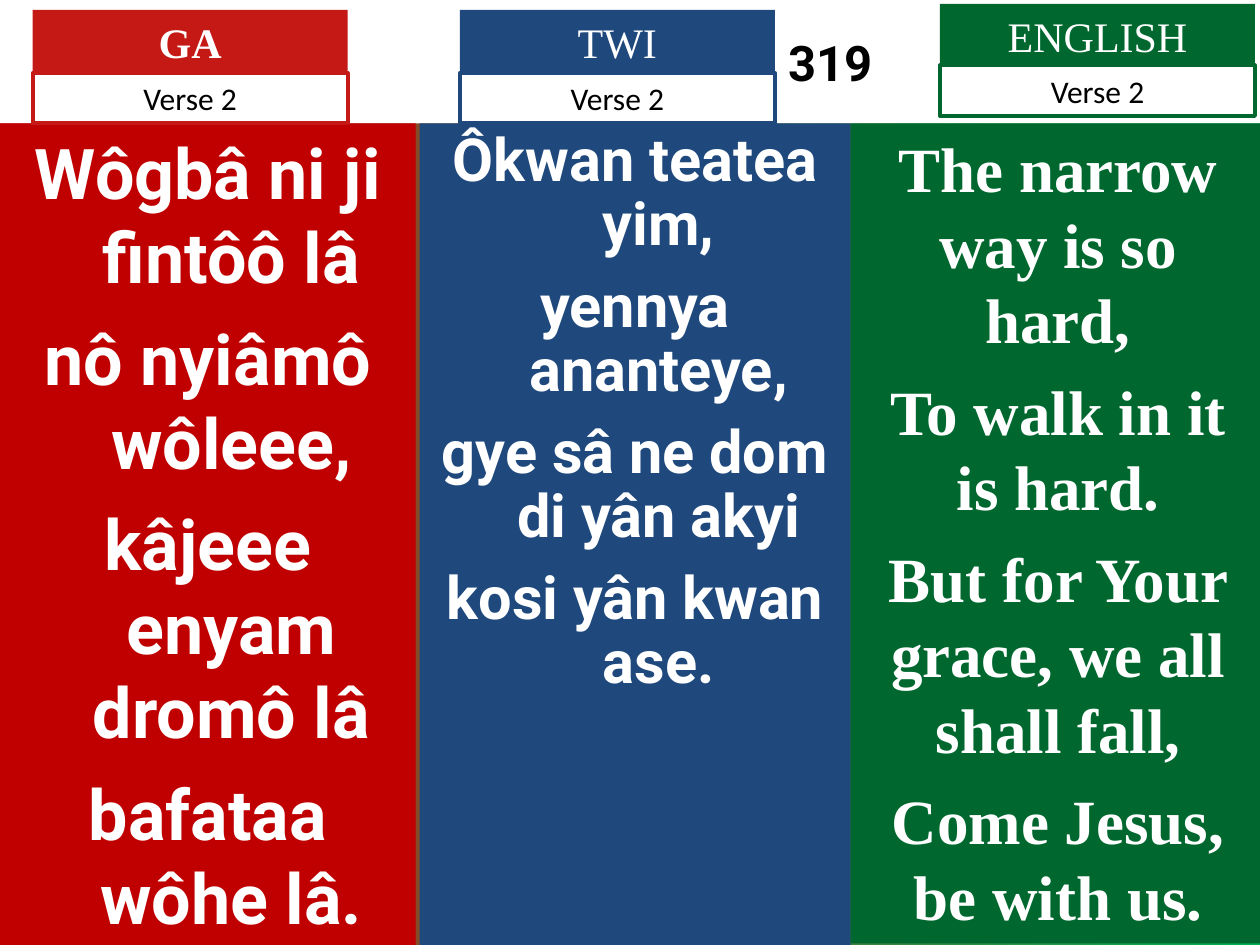
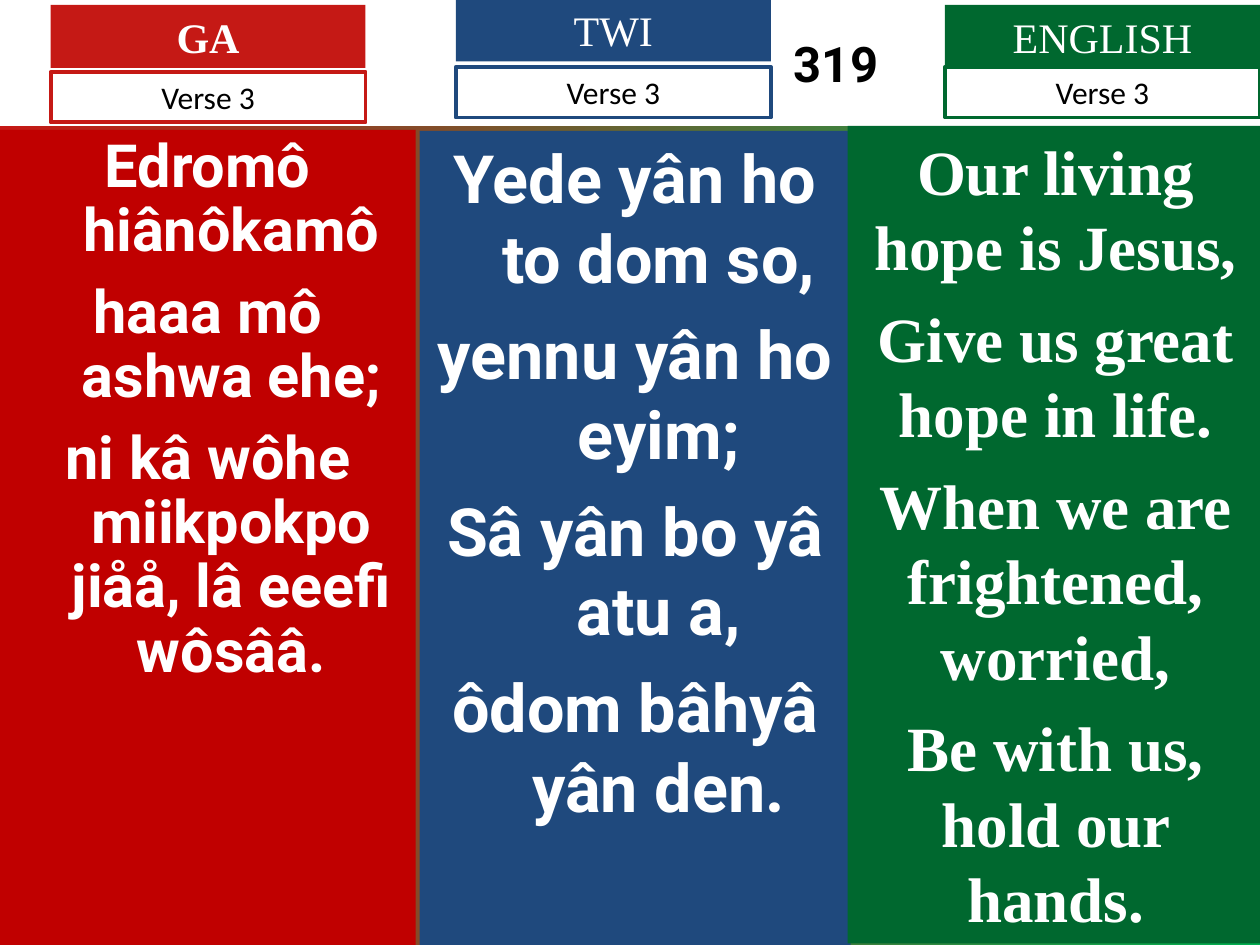
import pptx
import pptx.dml.color
import pptx.enum.shapes
import pptx.enum.text
import pptx.util

Cm, Pt = pptx.util.Cm, pptx.util.Pt
RGBColor = pptx.dml.color.RGBColor
ANCHOR = pptx.enum.text.MSO_ANCHOR

WHITE = RGBColor(0xFF, 0xFF, 0xFF)
BLACK = RGBColor(0, 0, 0)
RED = RGBColor(0xC5, 0x19, 0x15)
CRIMSON = RGBColor(0xC0, 0, 0)
BLUE = RGBColor(0x1F, 0x49, 0x7D)
GREEN = RGBColor(0, 0x68, 0x2F)
LIME = RGBColor(0, 0xB0, 0x50)
ROBOTO, TIMES, CALIBRI = "Roboto", "Times New Roman", "Calibri"

WIDTH, HEIGHT = 25.4, 19.05
TAG_WIDTH, TAG_HEIGHT, VERSE_HEIGHT = 6.35, 1.27, 1.02
HANG = 0.95

# language: tag colour, panel colour, bold tag, lyric font, hanging indent
TONGUES = {
    "GA": (RED, CRIMSON, True, ROBOTO, HANG),
    "TWI": (BLUE, BLUE, False, ROBOTO, HANG),
    "ENGLISH": (GREEN, GREEN, False, TIMES, 0),
}

# Panel: left, top, width, bottom. Tag: left, top, top of the verse box.
# Type: size, space before, line spacing.
VERSES = [
    {
        "verse": "Verse 2", "band": 2.49, "inset": 8.33,
        "GA": ((0, 2.49, 8.38, 19.05), (0.66, 0.2, 1.47), (40, 10, 1),
               ["Wôgbâ ni ji fintôô lâ", "nô nyiâmô wôleee,",
                "kâjeee enyam dromô lâ", "bafataa wôhe lâ."]),
        "TWI": ((8.46, 2.49, 8.69, 19.05), (9.27, 0.2, 1.47), (34, 10, 0.9),
                ["Ôkwan teatea yim,", "yennya ananteye,",
                 "gye sâ ne dom di yân akyi", "kosi yân kwan ase."]),
        "ENGLISH": ((17.15, 2.49, 8.36, 19.02), (18.95, 0.08, 1.32), (36, 9, 1),
                    ["The narrow way is so hard,", "To walk in it is hard.",
                     "But for Your grace, we all shall fall,",
                     "Come Jesus, be with us."]),
    },
    {
        "verse": "Verse 3", "band": 2.54, "inset": 8.56,
        "GA": ((0, 2.62, 8.38, 19.05), (1.02, 0.1, 1.45), (34, 10, 0.9),
               ["Edromô hiânôkamô", "haaa mô ashwa ehe;",
                "ni kâ wôhe miikpokpo jiåå, lâ eeefi wôsââ."]),
        "TWI": ((8.46, 2.64, 8.69, 19.05), (9.19, -0.03, 1.35), (38, 9.5, 1),
                ["Yede yân ho to dom so,", "yennu yân ho eyim;",
                 "Sâ yân bo yâ atu a,", "ôdom bâhyâ yân den."]),
        "ENGLISH": ((17.09, 2.54, 8.38, 19.02), (19.05, 0.1, 1.35), (36, 9, 1),
                    ["Our living hope is Jesus,", "Give us great hope in life.",
                     "When we are frightened, worried,",
                     "Be with us, hold our hands."]),
    },
]


def add_box(slide, left, top, width, height, fill=None, line=None):
    """Add a rectangle with top-anchored, wrapping text and return it."""
    box = slide.shapes.add_shape(pptx.enum.shapes.MSO_SHAPE.RECTANGLE,
                                 Cm(left), Cm(top), Cm(width), Cm(height))
    box.shadow.inherit = False
    if fill is None:
        box.fill.background()
    else:
        box.fill.solid()
        box.fill.fore_color.rgb = fill
    if line is None:
        box.line.fill.background()
    else:
        box.line.color.rgb = line
        box.line.width = Pt(2.25)
    frame = box.text_frame
    frame.word_wrap = True
    frame.vertical_anchor = ANCHOR.TOP
    return box


def add_text(box, lines, font, size, color, bold=False, hang=0, gap=0, pitch=1):
    """Write one centred paragraph per line, with a gap between paragraphs."""
    frame = box.text_frame
    for i, line in enumerate(lines):
        para = frame.add_paragraph() if i else frame.paragraphs[0]
        para.alignment = pptx.enum.text.PP_ALIGN.CENTER
        para.line_spacing = pitch
        para.space_before = Pt(gap if i else 0)
        if hang:
            props = para._p.get_or_add_pPr()
            props.set("marL", str(Cm(hang)))
            props.set("indent", str(-Cm(hang)))
        run = para.add_run()
        run.text = line
        run.font.name = font
        run.font.size = Pt(size)
        run.font.bold = bold
        run.font.color.rgb = color


deck = pptx.Presentation()
deck.slide_width, deck.slide_height = Cm(WIDTH), Cm(HEIGHT)

for verse in VERSES:
    slide = deck.slides.add_slide(deck.slide_layouts[6])
    back = slide.background.fill
    back.gradient()
    back.gradient_angle = 0
    for stop, color in zip(back.gradient_stops, (RED, LIME)):
        stop.color.rgb = color

    band = add_box(slide, 0, 0, WIDTH, verse["band"], WHITE)
    band.text_frame.vertical_anchor = ANCHOR.MIDDLE
    band.text_frame.margin_left = Cm(verse["inset"])
    add_text(band, ["319"], ROBOTO, 28, BLACK, True)

    for tongue, (color, fill, bold, font, hang) in TONGUES.items():
        area, spot, (size, gap, pitch), lines = verse[tongue]
        left, top, width, bottom = area
        panel = add_box(slide, left, top, width, bottom - top, fill)
        add_text(panel, lines, font, size, WHITE, True, hang, gap, pitch)

        left, top, under = spot
        tag = add_box(slide, left, top, TAG_WIDTH, TAG_HEIGHT, color)
        add_text(tag, [tongue], TIMES, 24, WHITE, bold)
        label = add_box(slide, left, under, TAG_WIDTH, VERSE_HEIGHT, line=color)
        add_text(label, [verse["verse"]], CALIBRI, 18, BLACK)

deck.save("out.pptx")
